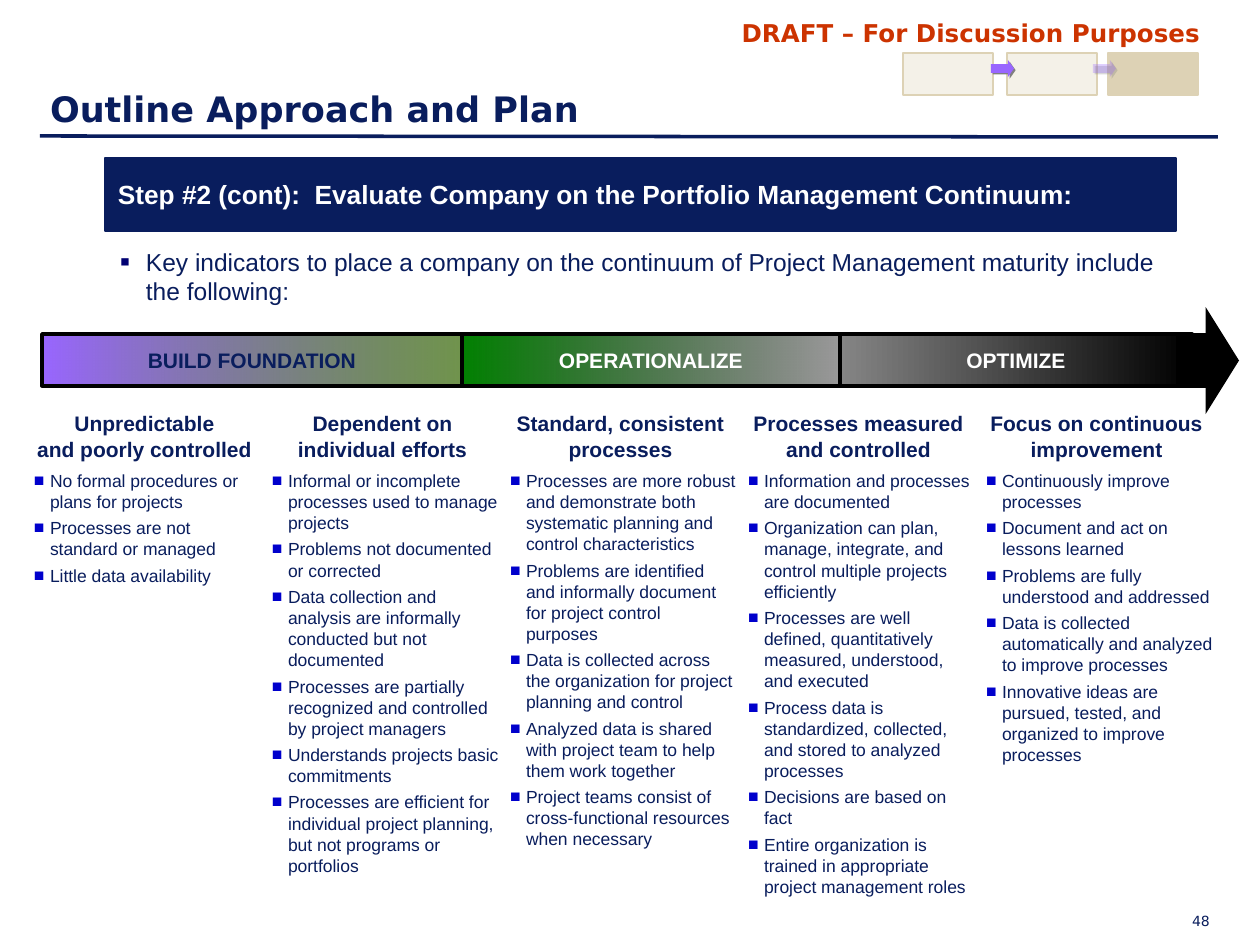
"""Build the portfolio management continuum slide."""
from pptx import Presentation
from pptx.dml.color import RGBColor
from pptx.enum.shapes import MSO_CONNECTOR, MSO_SHAPE as Shape
from pptx.enum.text import MSO_ANCHOR as Anchor, MSO_AUTO_SIZE, PP_ALIGN as Align
from pptx.oxml.ns import qn
from pptx.util import Emu, Pt
from lxml.etree import SubElement

NAVY = RGBColor(0x09, 0x1D, 0x5D)
WHITE = RGBColor(0xFF, 0xFF, 0xFF)
BLACK = RGBColor(0x00, 0x00, 0x00)
GRAY = RGBColor(0x85, 0x85, 0x85)
GREEN = RGBColor(0x00, 0x80, 0x00)
OLIVE = RGBColor(0x33, 0x66, 0x00)
PURPLE = RGBColor(0x99, 0x66, 0xFF)
SAND = RGBColor(0xDD, 0xD2, 0xB5)
DRAFT_RED = RGBColor(0xCC, 0x33, 0x00)
BULLET_BLUE = RGBColor(0x00, 0x00, 0xCC)
BULLET_NAVY = RGBColor(0x00, 0x00, 0x72)
PX = 914400 / 126
DISPLAY_FONT = "DejaVu Sans"


def write(frame, texts, size, color=NAVY, bold=False, align=Align.LEFT, font="Arial",
          anchor=Anchor.TOP, margins=(13, 6, 13, 6), after=0, bullet=None):
    frame.word_wrap = True
    frame.auto_size = MSO_AUTO_SIZE.NONE
    frame.vertical_anchor = anchor
    (frame.margin_left, frame.margin_top,
     frame.margin_right, frame.margin_bottom) = [Emu(round(m * PX)) for m in margins]
    for index, text in enumerate(texts):
        paragraph = frame.add_paragraph() if index else frame.paragraphs[0]
        paragraph.alignment = align
        paragraph.space_before = Pt(0)
        paragraph.space_after = Pt(after)
        if bullet:
            mark, mark_color, percent, indent = bullet
            props = paragraph._p.get_or_add_pPr()
            props.set("marL", str(round(indent * PX)))
            props.set("indent", str(-round(indent * PX)))
            SubElement(SubElement(props, qn("a:buClr")), qn("a:srgbClr"), val=str(mark_color))
            SubElement(props, qn("a:buSzPct"), val=str(percent * 1000))
            SubElement(props, qn("a:buFont"), typeface="Arial")
            SubElement(props, qn("a:buChar"), char=mark)
        for number, line in enumerate(text.split("\n")):
            if number:
                paragraph.add_line_break()
            run = paragraph.add_run()
            run.text = line
            run.font.size = Pt(size)
            run.font.name = font
            run.font.bold = bold
            run.font.color.rgb = color


def draw(kind, place, colors, opacity=100, outline=None, weight=0.75):
    shape = slide.shapes.add_shape(kind, *[Emu(round(n * PX)) for n in place])
    shape.shadow.inherit = False
    if len(colors) == 1:
        shape.fill.solid()
        shape.fill.fore_color.rgb = colors[0]
    else:
        shape.fill.gradient()
        shape.fill.gradient_angle = 180
        for position, (stop, color) in enumerate(zip(shape.fill.gradient_stops, colors)):
            stop.position = position
            stop.color.rgb = color
    if opacity < 100:
        first_color = shape._element.spPr.find(".//" + qn("a:srgbClr"))
        SubElement(first_color, qn("a:alpha"), val=str(opacity * 1000))
    if outline is None:
        shape.line.fill.background()
    else:
        shape.line.color.rgb = outline
        shape.line.width = Pt(weight)
    return shape


deck = Presentation()
deck.slide_width, deck.slide_height = Emu(round(1260 * PX)), Emu(round(945 * PX))
slide = deck.slides.add_slide(deck.slide_layouts[5])

title = slide.shapes.title
title.left, title.top, title.width, title.height = [
    Emu(round(n * PX)) for n in (37, 32, 1188, 104)]
write(title.text_frame, ["Outline Approach and Plan"], 20, bold=True,
      font=DISPLAY_FONT, anchor=Anchor.BOTTOM)

title_rule = slide.shapes.add_connector(
    MSO_CONNECTOR.STRAIGHT, *[Emu(round(n * PX)) for n in (40, 136, 1218, 137)])
title_rule.line.color.rgb = NAVY
title_rule.line.width = Pt(2)
SubElement(title_rule._element.spPr, qn("a:effectLst"))

columns = [
    ("Unpredictable\nand poorly controlled", [
        "No formal procedures or plans for projects",
        "Processes are not standard or managed",
        "Little data availability"]),
    ("Dependent on\nindividual efforts", [
        "Informal or incomplete processes used to manage projects",
        "Problems not documented or corrected",
        "Data collection and analysis are informally conducted but not documented",
        "Processes are partially recognized and controlled by project managers",
        "Understands projects basic commitments",
        "Processes are efficient for individual project planning, "
        "but not programs or portfolios"]),
    ("Standard, consistent processes", [
        "Processes are more robust and demonstrate both systematic planning "
        "and control characteristics",
        "Problems are identified and informally document for project control purposes",
        "Data is collected across the organization for project planning and control",
        "Analyzed data is shared with project team to help them work together",
        "Project teams consist of cross-functional resources when necessary"]),
    ("Processes measured\nand controlled", [
        "Information and processes are documented",
        "Organization can plan, manage, integrate, and control multiple projects efficiently",
        "Processes are well defined, quantitatively measured, understood, and executed",
        "Process data is standardized, collected, and stored to analyzed processes",
        "Decisions are based on fact",
        "Entire organization is trained in appropriate project management roles"]),
    ("Focus on continuous improvement", [
        "Continuously improve processes",
        "Document and act on lessons learned",
        "Problems are fully understood and addressed",
        "Data is collected automatically and analyzed to improve processes",
        "Innovative ideas are pursued, tested, and organized to improve processes"]),
]
text_blocks = [
    ((1084, 912, 126, 19), ["48"], 8,
     dict(align=Align.RIGHT, font=DISPLAY_FONT, margins=(0, 0, 0, 0))),
    ((714, 12, 514, 43), ["DRAFT – For Discussion Purposes"], 14,
     dict(color=DRAFT_RED, bold=True, align=Align.CENTER, font=DISPLAY_FONT)),
    ((105, 232, 1071, 80),
     ["Key indicators to place a company on the continuum of Project Management "
      "maturity include the following:"], 14,
     dict(margins=(15, 15, 15, 15), bullet=("▪", BULLET_NAVY, 120, 26))),
]
for index, (heading, indicators) in enumerate(columns):
    left = 28 + 238 * index
    text_blocks.append(((left, 411, 233, 52), [heading], 12,
                        dict(bold=True, align=Align.CENTER, margins=(0, 0, 0, 0))))
    text_blocks.append(((left, 464, 233, 440), indicators, 10,
                        dict(margins=(6, 6, 0, 6), after=3.1,
                             bullet=("■", BULLET_BLUE, 100, 16))))
for place, texts, size, style in text_blocks:
    block = slide.shapes.add_textbox(*[Emu(round(n * PX)) for n in place])
    write(block.text_frame, texts, size, **style)

stages = [
    ("OPTIMIZE", 840, 352, (BLACK, GRAY), 100, WHITE),
    ("OPERATIONALIZE", 462, 378, (BLACK, GREEN), 40, WHITE),
    ("BUILD FOUNDATION", 42, 420, (OLIVE, PURPLE), 70, NAVY),
]
for label, left, width, colors, opacity, text_color in stages:
    stage = draw(Shape.RECTANGLE, (left, 334, width, 52), colors, opacity, BLACK, 2)
    write(stage.text_frame, [label], 12, text_color, True, Align.CENTER, anchor=Anchor.MIDDLE)

continuum_tip = draw(Shape.UP_ARROW, (1154, 329, 107, 63), [BLACK])
continuum_tip.rotation = 90
continuum_tip.adjustments[0] = 0.51
continuum_tip.adjustments[1] = 0.53

for left, opacity in ((903, 30), (1007, 30), (1108, 100)):
    draw(Shape.RECTANGLE, (left, 53, 90, 42), [SAND], opacity, SAND)
for left, opacity in ((991, 100), (1093, 30)):
    step_arrow = draw(Shape.RIGHT_ARROW, (left, 60, 23, 17), [PURPLE], opacity)
    step_arrow.adjustments[1] = 0.35
    effects = step_arrow._element.spPr.find(qn("a:effectLst"))
    shadow = SubElement(effects, qn("a:outerShdw"), dist=str(Pt(1.4)), dir="2700000")
    SubElement(shadow, qn("a:srgbClr"), val="808080")

step_banner = draw(Shape.RECTANGLE, (105, 158, 1071, 73), [NAVY], outline=NAVY)
write(step_banner.text_frame,
      ["Step #2 (cont):  Evaluate Company on the Portfolio Management Continuum:"],
      15, WHITE, True, anchor=Anchor.MIDDLE)

deck.save("out.pptx")
